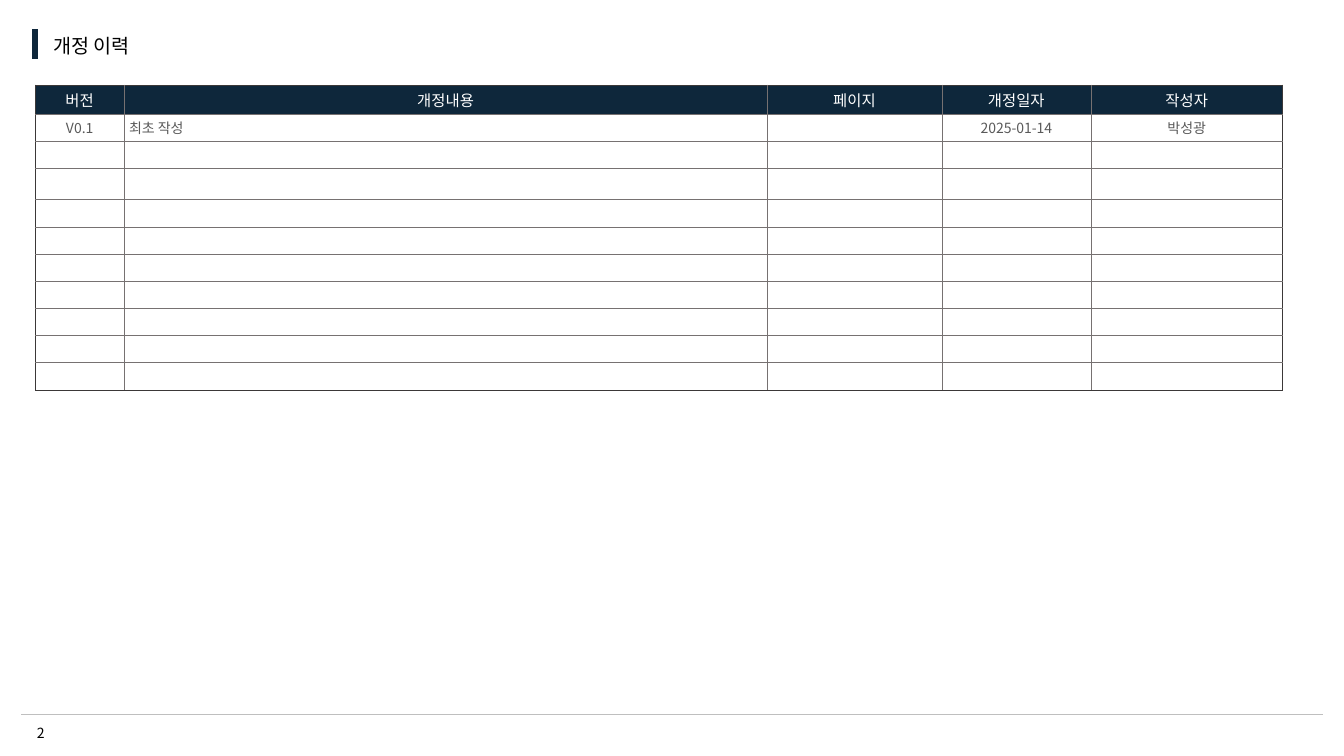
from lxml.etree import SubElement
from pptx import Presentation
from pptx.dml.color import RGBColor
from pptx.enum.shapes import MSO_CONNECTOR
from pptx.enum.text import MSO_ANCHOR, PP_ALIGN
from pptx.oxml.ns import qn
from pptx.util import Inches, Pt

FONT = "Noto Sans CJK KR"
NAVY, BLACK, WHITE = "0E273B", "000000", "FFFFFF"
BODY_TEXT, OUTER_EDGE, INNER_EDGE = "595959", "3B3838", "767171"

HEADERS = ["버전", "개정내용", "페이지", "개정일자", "작성자"]
FIRST_REVISION = ["V0.1", "최초 작성", "", "2025-01-14", "박성광"]
COLUMN_WIDTHS = [0.88, 6.38, 1.73, 1.48, 1.9]
ROW_HEIGHTS = [0.29, 0.27, 0.27, 0.31] + [0.27] * 7
CONTENT_COLUMN = 1


def color(hex_string):
    return RGBColor.from_string(hex_string)


def write(paragraph, text, size, text_color, align=PP_ALIGN.LEFT):
    paragraph.alignment = align
    if not text:
        # An empty cell takes its line height from the end mark.
        paragraph._p.get_or_add_endParaRPr().set("sz", str(size * 100))
        return
    run = paragraph.add_run()
    run.text = text
    for name, value in {"name": FONT, "size": Pt(size)}.items():
        setattr(run.font, name, value)
    run.font.color.rgb = color(text_color)
    east_asian = SubElement(run.font._element, qn("a:ea"))
    east_asian.set("typeface", FONT)


def add_text(slide, box, text, size, margins, align=PP_ALIGN.LEFT):
    frame = slide.shapes.add_textbox(*map(Inches, box)).text_frame
    horizontal, vertical = map(Inches, margins)
    settings = {
        "word_wrap": False,
        "vertical_anchor": MSO_ANCHOR.MIDDLE,
        "margin_left": horizontal,
        "margin_right": horizontal,
        "margin_top": vertical,
        "margin_bottom": vertical,
    }
    for name, value in settings.items():
        setattr(frame, name, value)
    write(frame.paragraphs[0], text, size, BLACK, align)


def add_line(slide, start, end, line_color, width):
    points = map(Inches, (*start, *end))
    connector = slide.shapes.add_connector(MSO_CONNECTOR.STRAIGHT, *points)
    connector.line.color.rgb = color(line_color)
    connector.line.width = Pt(width)
    SubElement(connector._element.spPr, qn("a:effectLst"))


def set_borders(cell, edge_colors):
    properties = cell._tc.get_or_add_tcPr()
    for position, (side, edge_color) in enumerate(edge_colors.items()):
        border = SubElement(properties, qn(f"a:ln{side}"), w=str(Pt(0.25)))
        fill = SubElement(border, qn("a:solidFill"))
        SubElement(fill, qn("a:srgbClr"), val=edge_color)
        properties.insert(position, border)


def format_cell(cell, fill_color):
    settings = {
        "vertical_anchor": MSO_ANCHOR.MIDDLE,
        "margin_left": Inches(0.05),
        "margin_right": Inches(0.05),
        "margin_top": Inches(0.03),
        "margin_bottom": Inches(0.03),
    }
    for name, value in settings.items():
        setattr(cell, name, value)
    cell.fill.solid()
    cell.fill.fore_color.rgb = color(fill_color)


def add_revision_table(slide, left, top):
    row_count, column_count = len(ROW_HEIGHTS), len(COLUMN_WIDTHS)
    size = sum(COLUMN_WIDTHS), sum(ROW_HEIGHTS)
    table = slide.shapes.add_table(
        row_count, column_count, *map(Inches, (left, top, *size))
    ).table
    table.horz_banding = False
    for column, width in zip(table.columns, COLUMN_WIDTHS):
        column.width = Inches(width)
    for row, height in zip(table.rows, ROW_HEIGHTS):
        row.height = Inches(height)

    empty_rows = [[""] * column_count] * (row_count - 2)
    for r, texts in enumerate([HEADERS, FIRST_REVISION, *empty_rows]):
        is_header = r == 0
        for c, text in enumerate(texts):
            cell = table.cell(r, c)
            format_cell(cell, NAVY if is_header else WHITE)
            on_edge = {
                "L": c == 0,
                "R": c == column_count - 1,
                "T": is_header,
                "B": r == row_count - 1,
            }
            set_borders(cell, {
                side: OUTER_EDGE if outer else INNER_EDGE
                for side, outer in on_edge.items()
            })
            left_aligned = c == CONTENT_COLUMN and not is_header
            write(
                cell.text_frame.paragraphs[0],
                text,
                11 if is_header else 10,
                WHITE if is_header else BODY_TEXT,
                PP_ALIGN.LEFT if left_aligned else PP_ALIGN.CENTER,
            )


def main():
    presentation = Presentation()
    presentation.slide_width = Inches(13.33)
    presentation.slide_height = Inches(7.5)
    slide = presentation.slides.add_slide(presentation.slide_layouts[6])

    add_line(slide, (0.21, 7.09), (13.12, 7.09), "BFBFBF", 0.75)
    add_text(slide, (0.13, 7.14, 0.55, 0.27), "2", 10, (0.1, 0.05), PP_ALIGN.CENTER)
    add_text(slide, (0.45, 0.29, 1.39, 0.32), "개정 이력", 14, (0.08, 0))
    add_revision_table(slide, 0.35, 0.84)
    add_line(slide, (0.35, 0.29), (0.35, 0.59), NAVY, 4.5)

    presentation.save("out.pptx")


if __name__ == "__main__":
    main()
